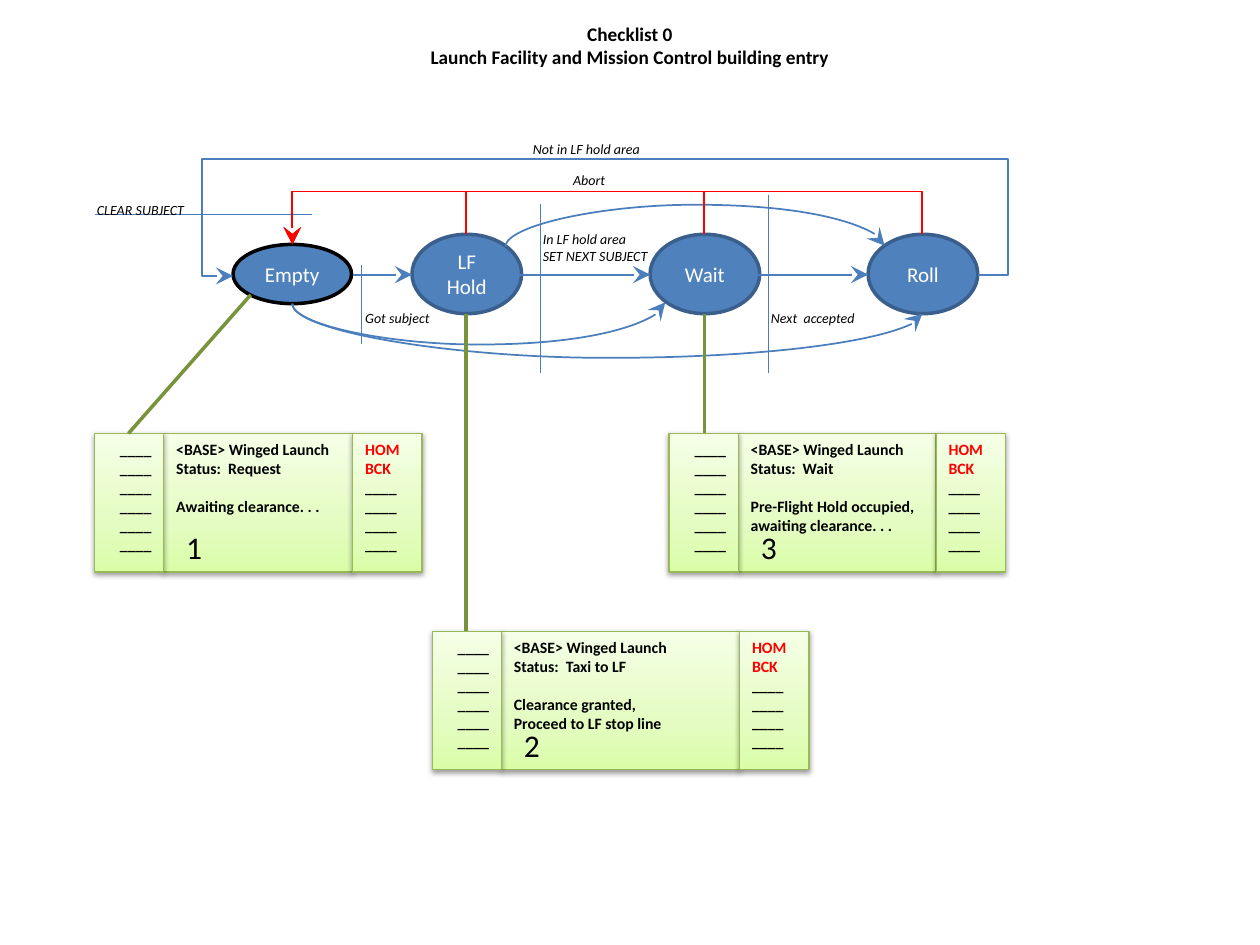
import pptx
import pptx.dml.color
import pptx.enum.shapes
import pptx.enum.text
import pptx.oxml
import pptx.oxml.ns
import pptx.util
from lxml import etree

Inches, Pt = pptx.util.Inches, pptx.util.Pt
Shapes = pptx.enum.shapes.MSO_SHAPE
Connectors = pptx.enum.shapes.MSO_CONNECTOR
Align = pptx.enum.text.PP_ALIGN
Anchor = pptx.enum.text.MSO_ANCHOR
qn = pptx.oxml.ns.qn

BLUE, RED, GREEN, BLACK = "4B7EBC", "FF0000", "77933C", "000000"
FONT = "Calibri"

TITLE = ["Checklist 0", "Launch Facility and Mission Control building entry"]

# text, left, top, width, height, outline
STATES = [
    (["Empty"], 1.85, 1.94, 0.94, 0.47, BLACK),
    (["LF", "Hold"], 3.27, 1.86, 0.87, 0.63, "3A5F8C"),
    (["Wait"], 5.16, 1.86, 0.87, 0.63, "3A5F8C"),
    (["Roll"], 6.89, 1.86, 0.87, 0.63, "3A5F8C"),
]

# text, left, top, width, height
LABELS = [
    (["In LF hold area", "SET NEXT SUBJECT"], 4.21, 1.78, 1.1, 0.37),
    (["Got subject"], 2.8, 2.41, 1.02, 0.24),
    (["Next  accepted"], 6.02, 2.41, 1.02, 0.24),
    (["CLEAR SUBJECT"], 0.67, 1.55, 1.18, 0.24),
    (["Not in LF hold area"], 4.13, 1.07, 1.18, 0.24),
    (["Abort"], 4.45, 1.31, 0.47, 0.24),
]

# start, end
STEPS = [((2.8, 2.18), (3.27, 2.18)), ((4.13, 2.18), (5.16, 2.18)), ((6.02, 2.18), (6.89, 2.18))]
EVENT_BARS = [
    ((4.29, 1.62), (4.29, 2.96)),
    ((2.87, 2.1), (2.87, 2.73)),
    ((6.1, 1.55), (6.1, 2.96)),
    ((2.48, 1.7), (0.75, 1.7)),
]
CARD_LINKS = [((1.02, 3.44), (1.99, 2.34)), ((3.7, 5.01), (3.7, 2.49)), ((5.59, 3.44), (5.59, 2.49))]

# start, end, height of the middle stretch
SKIPS = [
    ((2.32, 2.41), (5.28, 2.4), 2.74),
    ((2.32, 2.41), (7.32, 2.49), 2.84),
    ((4.01, 1.96), (7.02, 1.95), 1.62),
]
ABORT_STARTS = [7.32, 5.59, 3.7]
ABORT_END, ABORT_TOP = (2.32, 1.94), 1.52
LOOP_START, LOOP_END = (7.76, 2.18), (1.85, 2.19)
LOOP_RIGHT, LOOP_TOP, LOOP_LEFT = 8, 1.25, 1.6

# number, left, top, width of the message, heading, message
CARDS = [
    ("2", 3.43, 5.01, 1.89, "Status:  Taxi to LF", ["Clearance granted,", "Proceed to LF stop line"]),
    ("1", 0.75, 3.44, 1.5, "Status:  Request", ["Awaiting clearance. . ."]),
    ("3", 5.31, 3.44, 1.57, "Status:  Wait", ["Pre-Flight Hold occupied,", "awaiting clearance. . ."]),
]
CARD_HEIGHT, KEY_WIDTH, KEY = 1.1, 0.55, "____"
GRADIENT = [(0, "DAFDA7"), (35, "E4FCC2"), (100, "F5FFE7")]

presentation = pptx.Presentation()
presentation.slide_width, presentation.slide_height = Inches(10), Inches(7.5)
slide = presentation.slides.add_slide(presentation.slide_layouts[6])


def rgb(value):
    return pptx.dml.color.RGBColor.from_string(value)


def write(shape, lines, size, color=BLACK, align=Align.LEFT, bold=False, italic=False):
    frame = shape.text_frame
    frame.text = "\n".join(lines)
    for paragraph in frame.paragraphs:
        paragraph.alignment = align
        font = paragraph.font
        font.name, font.size, font.bold, font.italic = FONT, Pt(size), bold, italic
        font.color.rgb = rgb(color)
    return frame


def add_text(lines, left, top, width, height, size, wrap=True, **style):
    box = slide.shapes.add_textbox(Inches(left), Inches(top), Inches(width), Inches(height))
    write(box, lines, size, **style).word_wrap = wrap


def add_shape(kind, left, top, width, height, line_color, line_width):
    shape = slide.shapes.add_shape(kind, Inches(left), Inches(top), Inches(width), Inches(height))
    shape.line.color.rgb = rgb(line_color)
    shape.line.width = Pt(line_width)
    shape.shadow.inherit = False
    return shape


def add_line(start, end, color, width, arrow=False, kind=Connectors.STRAIGHT):
    connector = slide.shapes.add_connector(kind, *map(Inches, start + end))
    connector.line.color.rgb = rgb(color)
    connector.line.width = Pt(width)
    properties = connector._element.spPr
    etree.SubElement(properties, qn("a:effectLst"))
    if arrow:
        outline = properties.find(qn("a:ln"))
        etree.SubElement(outline, qn("a:tailEnd"), type="stealth", w="lg", len="lg")
    return connector


def set_bends(connector, preset, bends):
    """Give the connector its preset and its bends, as shares of its width or height."""
    geometry = connector._element.spPr.find(qn("a:prstGeom"))
    geometry.set("prst", preset)
    guides = geometry.find(qn("a:avLst"))
    for number, bend in enumerate(bends, 1):
        name = f"adj{number}"
        etree.SubElement(guides, qn("a:gd"), name=name, fmla=f"val {round(bend * 100000)}")


def add_detour(start, end, middle, color, kind, preset):
    """Leave vertically, cross at height middle, arrive vertically: a connector turned by 90 degrees."""
    (x1, y1), (x2, y2) = start, end
    connector = add_line(start, end, color, 1, True, kind)
    width, height = abs(y2 - y1), abs(x2 - x1)
    connector.left, connector.top = Inches((x1 + x2 - width) / 2), Inches((y1 + y2 - height) / 2)
    connector.width, connector.height = Inches(width), Inches(height)
    transform = connector._element.spPr.find(qn("a:xfrm"))
    transform.set("rot", "5400000")
    transform.set("flipH", str(int(y2 < y1)))
    transform.set("flipV", str(int(x2 > x1)))
    set_bends(connector, preset, [(middle - y1) / (y2 - y1)])


def add_panel(left, top, width, lines, align=Align.LEFT):
    panel = add_shape(Shapes.RECTANGLE, left, top, width, CARD_HEIGHT, "98B955", 0.75)
    stops = "".join(f'<a:gs pos="{at * 1000}"><a:srgbClr val="{color}"/></a:gs>' for at, color in GRADIENT)
    namespace = pptx.oxml.ns.nsdecls("a")
    properties = panel._element.spPr
    properties.find(qn("a:prstGeom")).addnext(pptx.oxml.parse_xml(
        f'<a:gradFill {namespace} rotWithShape="1"><a:gsLst>{stops}</a:gsLst>'
        '<a:lin ang="16200000" scaled="0"/></a:gradFill>'))
    properties.find(qn("a:effectLst")).append(pptx.oxml.parse_xml(
        f'<a:outerShdw {namespace} blurRad="40000" dist="20000" dir="5400000" rotWithShape="0">'
        '<a:srgbClr val="000000"><a:alpha val="38000"/></a:srgbClr></a:outerShdw>'))
    frame = write(panel, lines, 9, align=align, bold=True)
    frame.vertical_anchor = Anchor.TOP
    return frame.paragraphs


def add_card(number, left, top, width, status, message):
    middle = left + KEY_WIDTH
    paragraphs = add_panel(middle, top, width, ["<BASE> Winged Launch", status] + message)
    paragraphs[2].space_before = Pt(11)
    add_text([number], middle + 0.08, top + 0.7, 0.33, 0.4, 18, wrap=False)
    add_panel(left, top, KEY_WIDTH, [KEY] * 6, Align.RIGHT)
    keys = add_panel(middle + width, top, KEY_WIDTH, ["HOM", "BCK"] + [KEY] * 4)
    for paragraph in keys[:2]:
        paragraph.font.color.rgb = rgb(RED)


for lines, left, top, width, height, outline in STATES:
    state = add_shape(Shapes.OVAL, left, top, width, height, outline, 2)
    state.fill.solid()
    state.fill.fore_color.rgb = rgb("4F81BD")
    write(state, lines, 12, "FFFFFF", Align.CENTER).vertical_anchor = Anchor.MIDDLE

for start, end in STEPS:
    add_line(start, end, BLUE, 1, arrow=True)
for start, end in EVENT_BARS:
    add_line(start, end, BLUE, 0.75)
for start, end, middle in SKIPS:
    add_detour(start, end, middle, BLUE, Connectors.CURVE, "curvedConnector3")

loop = add_line(LOOP_START, LOOP_END, BLUE, 1, True, Connectors.ELBOW)
run, rise = LOOP_END[0] - LOOP_START[0], LOOP_END[1] - LOOP_START[1]
set_bends(loop, "bentConnector5", [
    (LOOP_RIGHT - LOOP_START[0]) / run,
    (LOOP_TOP - LOOP_START[1]) / rise,
    (LOOP_LEFT - LOOP_START[0]) / run,
])
for x in ABORT_STARTS:
    add_detour((x, 1.86), ABORT_END, ABORT_TOP, RED, Connectors.ELBOW, "bentConnector3")

for lines, *place in LABELS:
    add_text(lines, *place, 8, italic=True)
for card in CARDS:
    add_card(*card)
for start, end in CARD_LINKS:
    add_line(start, end, GREEN, 2)
add_text(TITLE, 0.12, 0.13, 9.76, 0.47, 11, align=Align.CENTER, bold=True)

presentation.save("out.pptx")
